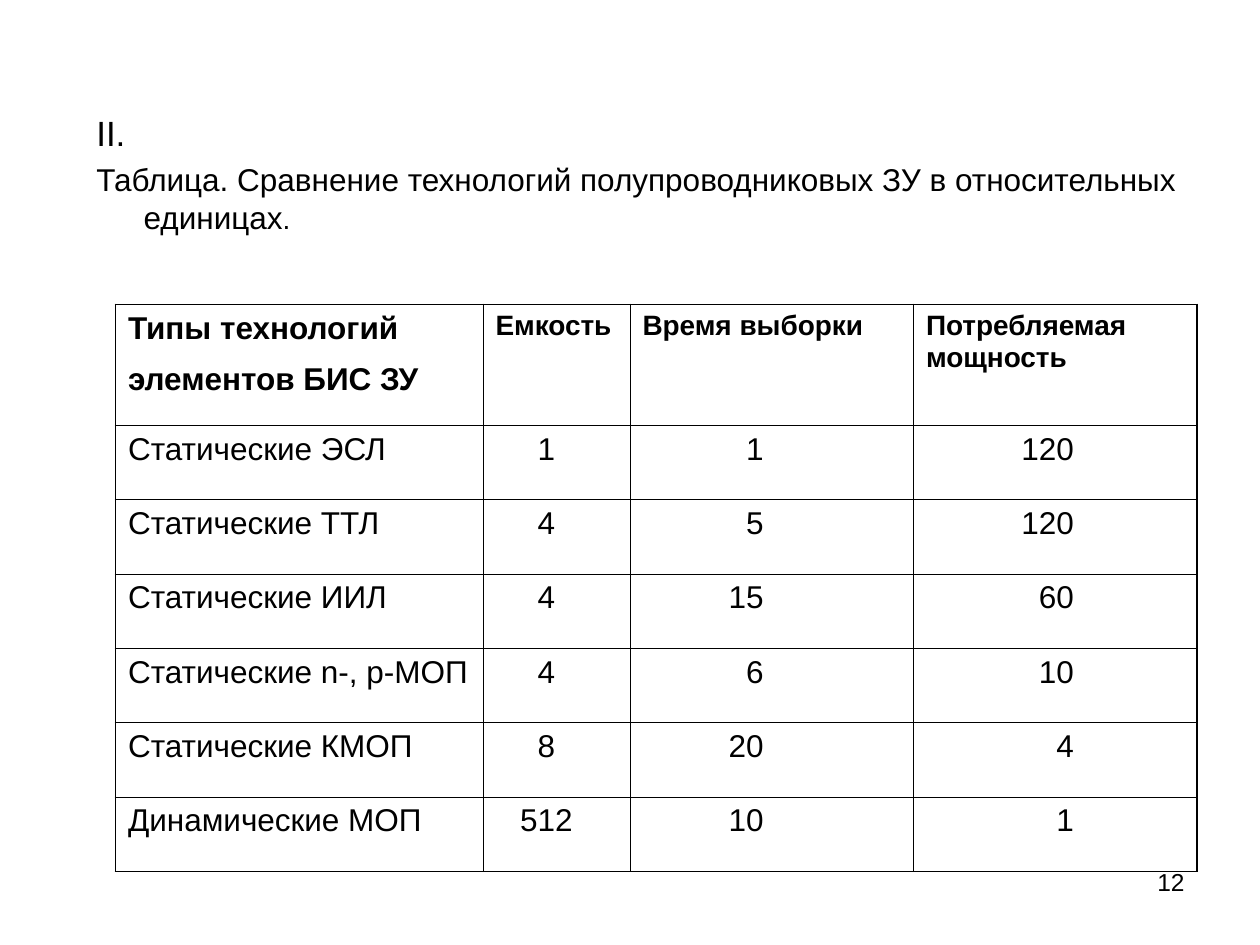
import pptx
import pptx.util
import pptx.dml.color
import pptx.enum.text
import pptx.oxml
from pptx.oxml.ns import qn

Pt = pptx.util.Pt
ALIGN = pptx.enum.text.PP_ALIGN
COLORS = {"ink": "000000", "paper": "FFFFFF"}
THIN, THICK = 0.45, 1.08

HEADS = ["Типы технологий элементов БИС ЗУ", "Емкость", "Время выборки",
         "Потребляемая мощность"]
ROWS = [
    ("Статические ЭСЛ", 1, 1, 120),
    ("Статические ТТЛ", 4, 5, 120),
    ("Статические ИИЛ", 4, 15, 60),
    ("Статические n-, p-МОП", 4, 6, 10),
    ("Статические КМОП", 8, 20, 4),
    ("Динамические МОП", 512, 10, 1),
]
WIDTHS = [210, 84, 162, 162]
HEAD_H, ROW_H = 69, 42.5
# Alignment and right margin of the body cells in each column
LAYOUT = [(ALIGN.LEFT, 7.2), (ALIGN.CENTER, 18.6), (ALIGN.RIGHT, 85.7),
          (ALIGN.RIGHT, 70.3)]


def shade(name):
    return pptx.dml.color.RGBColor.from_string(COLORS[name])


def write(para, text, size, bold=False):
    run = para.add_run()
    run.text = text
    for key, value in {"name": "Arial", "size": Pt(size), "bold": bold}.items():
        setattr(run.font, key, value)
    run.font.color.rgb = shade("ink")


def frame(slide, box):
    text = slide.shapes.add_textbox(*map(Pt, box)).text_frame
    text.word_wrap = True
    return text


def intro(slide, box):
    text = frame(slide, box)
    first, second = text.paragraphs[0], text.add_paragraph()
    for para in (first, second):
        props = para._p.get_or_add_pPr()
        props.set("marL", str(Pt(27)))
        props.set("indent", str(Pt(-27)))
    write(first, "II.", 20)
    second.space_before = Pt(4)
    write(second, "Таблица. Сравнение технологий полупроводниковых ЗУ "
                  "в относительных единицах", 18)
    write(second, ".", 16)


def border(cell, edges):
    """Draw the cell's sides; edges maps a side to whether it is outer."""
    props = cell._tc.get_or_add_tcPr()
    for spot, (side, outer) in enumerate(edges.items()):
        line = pptx.oxml.parse_xml(
            '<a:ln%s xmlns:a="http://schemas.openxmlformats.org/drawingml/2006/main"'
            ' w="%d"><a:solidFill><a:srgbClr val="%s"/></a:solidFill></a:ln%s>'
            % (side, Pt(THICK if outer else THIN), COLORS["ink"], side))
        props.insert(spot, line)


def grid(slide, left, top):
    data = [HEADS, *ROWS]
    heights = [HEAD_H] + [ROW_H] * len(ROWS)
    box = (left, top, sum(WIDTHS), sum(heights))
    table = slide.shapes.add_table(len(data), len(WIDTHS), *map(Pt, box)).table
    style = table._tbl.tblPr.find(qn("a:tableStyleId"))
    style.text = "{2D5ABB26-0587-4C30-8999-92F81FD0307C}"
    table.first_row = table.horz_banding = False
    for col, width in zip(table.columns, WIDTHS):
        col.width = Pt(width)
    for row, height in zip(table.rows, heights):
        row.height = Pt(height)
    for r, values in enumerate(data):
        for c, value in enumerate(values):
            cell = table.cell(r, c)
            cell.fill.solid()
            cell.fill.fore_color.rgb = shade("paper")
            para = cell.text_frame.paragraphs[0]
            if r:
                para.alignment, right = LAYOUT[c]
                cell.margin_right = Pt(right)
            write(para, str(value), 16 if r == 0 and c else 18, r == 0)
            if r == c == 0:
                write(para, " ", 28, True)  # makes the second line taller
            border(cell, {"L": c == 0, "R": c == len(WIDTHS) - 1,
                          "T": r == 0, "B": r == len(data) - 1})


def folio(slide, box):
    """Page number."""
    para = frame(slide, box).paragraphs[0]
    para.alignment = ALIGN.RIGHT
    write(para, "12", 14)


def main():
    deck = pptx.Presentation()
    deck.slide_width, deck.slide_height = Pt(720), Pt(540)
    slide = deck.slides.add_slide(deck.slide_layouts[6])
    folio(slide, (516, 492, 168, 37.5))
    intro(slide, (48, 60, 654, 428))
    grid(slide, 66, 174)
    deck.save("out.pptx")


if __name__ == "__main__":
    main()
